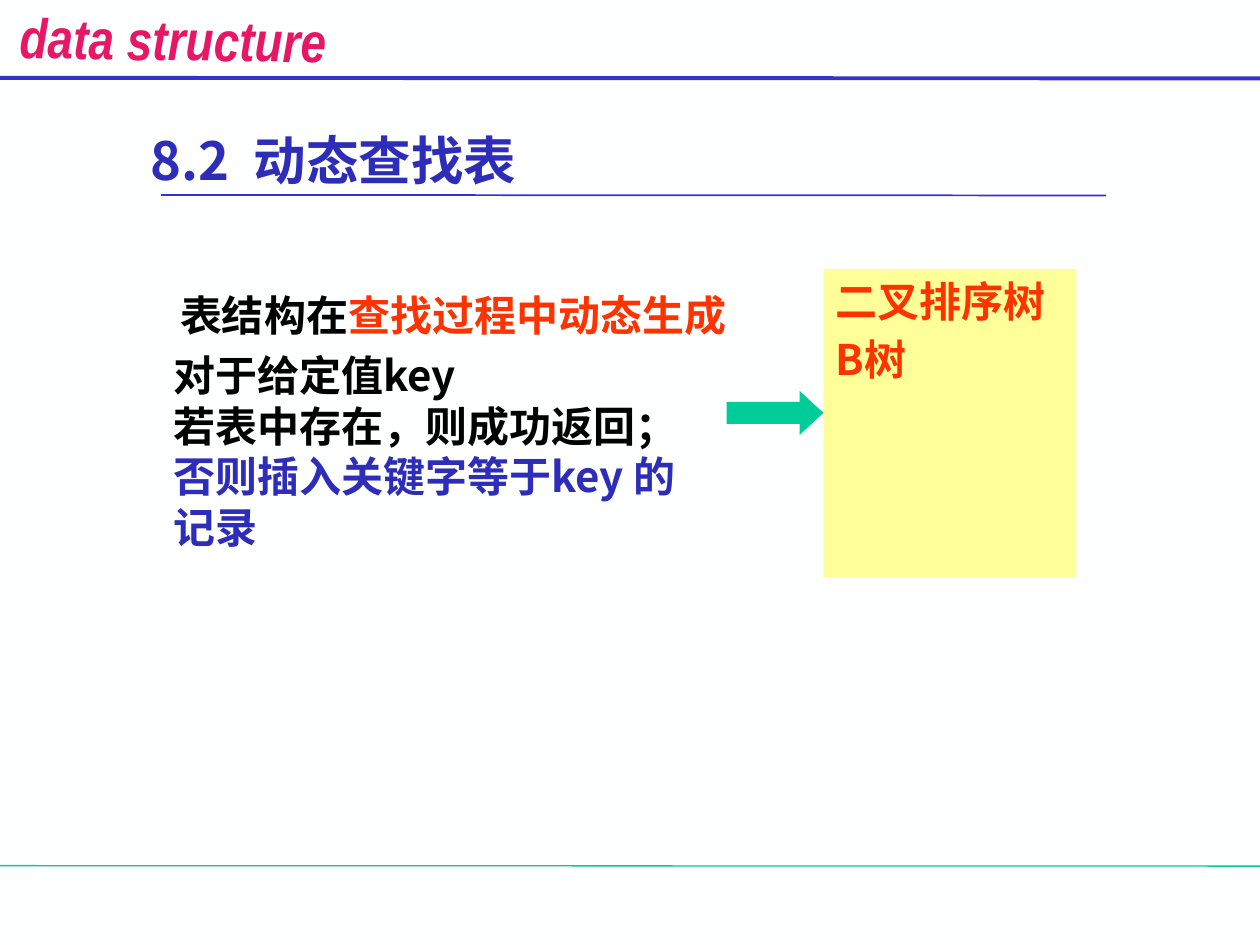
from lxml import etree
from pptx import Presentation
from pptx.dml.color import RGBColor
from pptx.enum.shapes import MSO_CONNECTOR, MSO_SHAPE
from pptx.enum.text import MSO_ANCHOR, PP_ALIGN
from pptx.oxml.ns import qn
from pptx.util import Cm, Pt

STRAIGHT = MSO_CONNECTOR.STRAIGHT
RECT, ARROW = MSO_SHAPE.RECTANGLE, MSO_SHAPE.RIGHT_ARROW
TOP, MIDDLE = MSO_ANCHOR.TOP, MSO_ANCHOR.MIDDLE
LEFT, CENTER = PP_ALIGN.LEFT, PP_ALIGN.CENTER

COLORS = {
    "paper": "FEFFFF", "ink": "000000", "blue": "2D2DB9", "rule": "3333CC",
    "red": "FF3300", "pink": "E81766", "green": "00CC99", "yellow": "FFFF99",
}


def rgb(name):
    return RGBColor.from_string(COLORS[name])


class SlideBuilder:
    font = "Noto Sans CJK SC"
    head_font = "Arial Narrow"
    slope = 0.01  # a rule with no height at all loses its colour when thin

    def __init__(self, slide):
        self.s = slide
        fill = slide.background.fill
        fill.solid()
        fill.fore_color.rgb = rgb("paper")

    def line(self, x1, x2, y, color, width):
        c = self.s.shapes.add_connector(
            STRAIGHT, Cm(x1), Cm(y), Cm(x2), Cm(y + self.slope))
        c.line.color.rgb = rgb(color)
        c.line.width = Pt(width)
        etree.SubElement(c._element.spPr, qn("a:effectLst"))

    def shape(self, kind, box, color):
        sp = self.s.shapes.add_shape(kind, *map(Cm, box))
        sp.shadow.inherit = False
        sp.fill.solid()
        sp.fill.fore_color.rgb = rgb(color)
        sp.line.fill.background()
        return sp

    def textbox(self, box, paragraphs, **style):
        sp = self.s.shapes.add_textbox(*map(Cm, box))
        self.text(sp, paragraphs, **style)
        return sp

    def text(self, sp, paragraphs, size=24, wrap=True, anchor=TOP, gap=0, hanging=0):
        """Fill a shape; each paragraph is a list of (text, colour) runs."""
        tf = sp.text_frame
        tf.word_wrap = wrap
        tf.vertical_anchor = anchor
        for i, runs in enumerate(paragraphs):
            p = tf.add_paragraph() if i else tf.paragraphs[0]
            p.alignment = LEFT
            p.line_spacing = Pt(size * 1.2)
            p.space_before = Pt(gap if i else 0)
            if hanging:
                pPr = p._p.get_or_add_pPr()
                pPr.set("marL", str(Cm(hanging)))
                pPr.set("indent", str(-Cm(hanging)))
            for text, color in runs:
                self.run(p, text, color, size, self.font)

    def run(self, p, text, color, size, font):
        r = p.add_run()
        r.text = text
        r.font.size = Pt(size)
        r.font.bold = True
        r.font.name = font
        r.font.color.rgb = rgb(color)
        ea = etree.SubElement(r._r.get_or_add_rPr(), qn("a:ea"))
        ea.set("typeface", font)
        return r

    def banner(self, box, text, color, size, rotation):
        sp = self.s.shapes.add_textbox(*map(Cm, box))
        sp.rotation = rotation
        tf = sp.text_frame
        tf.word_wrap = False
        tf.margin_left = tf.margin_right = 0
        p = tf.paragraphs[0]
        p.alignment = CENTER
        self.run(p, text, color, size, self.head_font).font.italic = True


def main():
    prs = Presentation()
    prs.slide_width, prs.slide_height = Cm(25.4), Cm(19.05)
    b = SlideBuilder(prs.slides.add_slide(prs.slide_layouts[6]))

    b.line(0, 25.4, 17.45, "green", 0.75)
    b.line(0, 25.4, 1.57, "rule", 2.25)
    b.banner((0.04, -0.03, 6.9, 1.37), "data structure", "pink", 32, 0.8)

    b.textbox((2.79, 2.5, 12.83, 1.42), [[("8.2  动态查找表", "blue")]],
              size=30, anchor=MIDDLE)
    b.line(3.25, 22.3, 3.93, "rule", 1)

    b.textbox((3.38, 5.72, 11.68, 1.27),
              [[("表结构在", "ink"), ("查找过程中动态生成", "red")]], wrap=False)
    b.textbox((3.25, 6.93, 11.4, 4.37), [
        [("对于给定值key", "ink")],
        [("若表中存在，则成功返回；", "ink")],
        [("否则插入关键字等于key 的记录", "blue")],
    ])

    trees = b.shape(RECT, (16.6, 5.42, 5.1, 6.22), "yellow")
    b.text(trees, [[("二叉排序树", "red")], [("B树", "red")]], gap=4.8, hanging=0.71)
    arrow = b.shape(ARROW, (14.65, 7.88, 1.95, 0.89), "green")
    arrow.adjustments[0] = 0.5
    arrow.adjustments[1] = 0.54

    prs.save("out.pptx")


if __name__ == "__main__":
    main()
